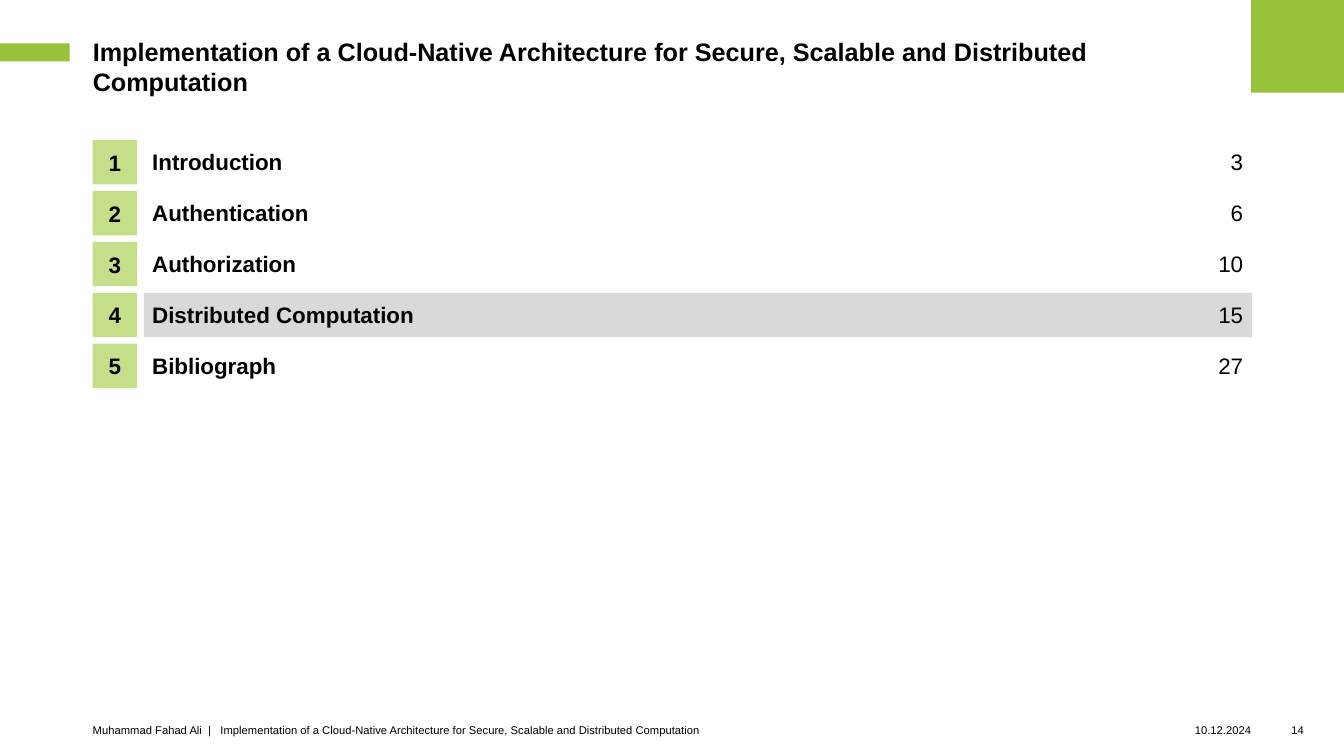
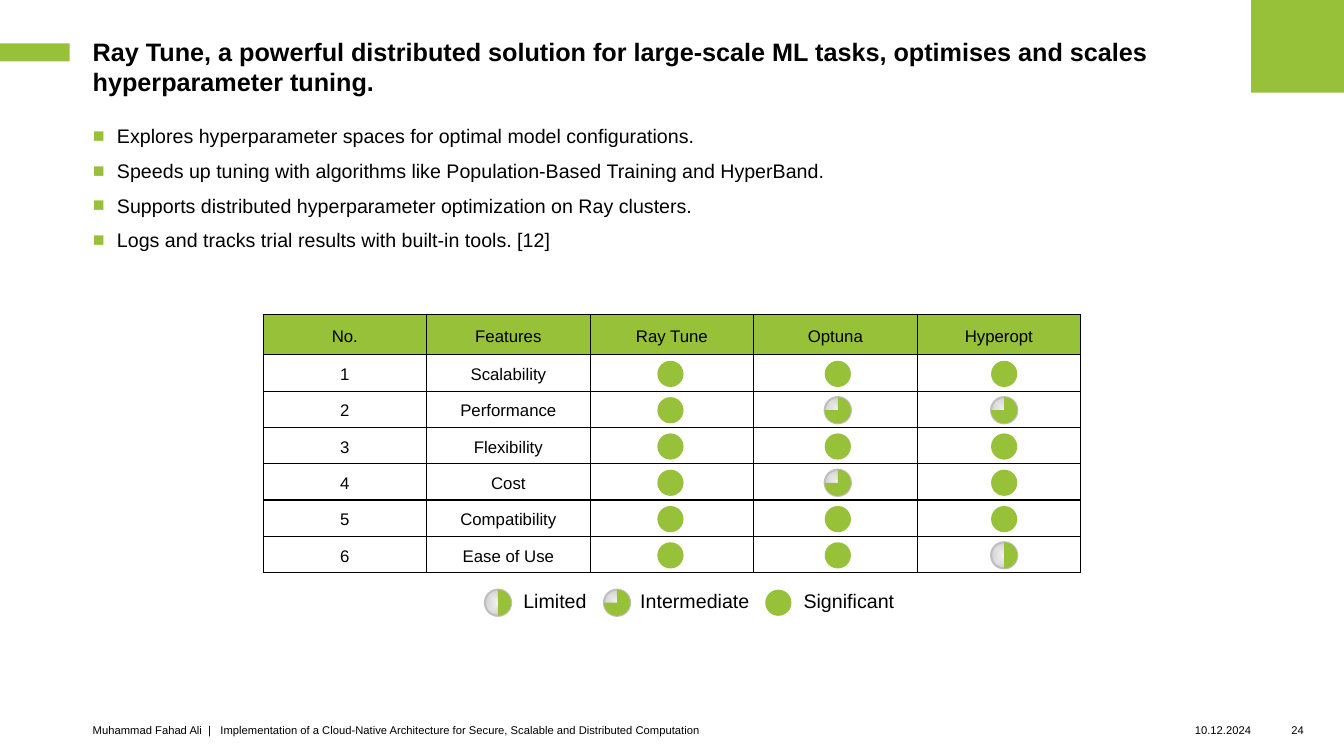
"""Builds an agenda slide and a feature comparison slide."""
import lxml.etree
import pptx
import pptx.dml.color
import pptx.enum.shapes
import pptx.enum.text
import pptx.oxml.ns
import pptx.util

Inches = pptx.util.Inches
Pt = pptx.util.Pt
RGBColor = pptx.dml.color.RGBColor
MSO_SHAPE = pptx.enum.shapes.MSO_SHAPE
PP_ALIGN = pptx.enum.text.PP_ALIGN
qn = pptx.oxml.ns.qn
SubElement = lxml.etree.SubElement

GREEN = RGBColor(0x97, 0xC1, 0x39)
LIGHT_GREEN = RGBColor(0xC5, 0xDE, 0x89)
GREY = RGBColor(0xD9, 0xD9, 0xD9)
DISC_INNER = RGBColor(0xF2, 0xF2, 0xF2)
DISC_OUTER = RGBColor(0xD2, 0xD2, 0xD2)
DISC_LINE = RGBColor(0xBF, 0xBF, 0xBF)
BLACK = RGBColor(0, 0, 0)
WHITE = RGBColor(0xFF, 0xFF, 0xFF)

TALK = "Implementation of a Cloud-Native Architecture for Secure, Scalable and Distributed Computation"
LEFT = 0.92
RIGHT = 12.41


def add_box(s, kind, x, y, w, h, color=None, margins=(0, 0, 0, 0)):
    """Add a text box, or a filled preset shape if a kind is given."""
    box = [Inches(v) for v in (x, y, w, h)]
    if kind is None:
        sp = s.shapes.add_textbox(*box)
    else:
        sp = s.shapes.add_shape(kind, *box)
        sp.shadow.inherit = False
        sp.line.fill.background()
        sp.fill.solid()
        sp.fill.fore_color.rgb = color
    tf = sp.text_frame
    tf.word_wrap = True
    tf.margin_left, tf.margin_top, tf.margin_right, tf.margin_bottom = map(Inches, margins)
    return sp


def write(p, text, size, bold=False, align=PP_ALIGN.LEFT, spacing=1.0, before=0):
    """Format a paragraph and add one run to it."""
    p.alignment = align
    p.line_spacing = spacing
    p.space_before = Pt(before)
    r = p.add_run()
    r.text = text
    r.font.name = "Arial"
    r.font.size = Pt(size)
    r.font.bold = bold
    r.font.color.rgb = BLACK


prs = pptx.Presentation()
prs.slide_width = Inches(13.33)
prs.slide_height = Inches(7.5)

titles = [
    (TALK, 11.29, "14"),
    ("Ray Tune, a powerful distributed solution for large-scale ML tasks, "
     "optimises and scales hyperparameter tuning.", 10.63, "24"),
]
for title, width, number in titles:
    s = prs.slides.add_slide(prs.slide_layouts[6])
    add_box(s, MSO_SHAPE.RECTANGLE, RIGHT, 0, 0.92, 0.92, GREEN)
    add_box(s, MSO_SHAPE.RECTANGLE, 0, 0.43, 0.69, 0.18, GREEN)
    sp = add_box(s, None, LEFT, 0.36, width, 0.55)
    write(sp.text_frame.paragraphs[0], title, 18, bold=True)
    for text, x, w, align in [
        (f"Muhammad Fahad Ali  |   {TALK}", LEFT, 9.74, PP_ALIGN.LEFT),
        ("10.12.2024", 10.65, 1.76, PP_ALIGN.RIGHT),
        (number, RIGHT, 0.92, PP_ALIGN.CENTER),
    ]:
        sp = add_box(s, None, x, 7.18, w, 0.14)
        write(sp.text_frame.paragraphs[0], text, 8, align=align)

agenda, comparison = prs.slides

chapters = [("Introduction", 3), ("Authentication", 6), ("Authorization", 10),
            ("Distributed Computation", 15), ("Bibliograph", 27)]
current = "Distributed Computation"
for i, (chapter, page) in enumerate(chapters):
    y = 1.39 + i * 0.505
    if chapter == current:
        add_box(agenda, MSO_SHAPE.RECTANGLE, 1.43, y, 10.99, 0.44, GREY)
    sp = add_box(agenda, MSO_SHAPE.RECTANGLE, LEFT, y, 0.44, 0.44, LIGHT_GREEN, (0.08,) * 4)
    write(sp.text_frame.paragraphs[0], str(i + 1), 16, bold=True, align=PP_ALIGN.CENTER)
    sp = add_box(agenda, None, 1.43, y, 4, 0.44, margins=(0.08, 0.08, 0, 0.08))
    write(sp.text_frame.paragraphs[0], chapter, 16, bold=True)
    sp = add_box(agenda, None, 11.73, y, 0.6, 0.44, margins=(0, 0.08, 0, 0.08))
    write(sp.text_frame.paragraphs[0], str(page), 16, align=PP_ALIGN.RIGHT)

bullets = [
    "Explores hyperparameter spaces for optimal model configurations.",
    "Speeds up tuning with algorithms like Population-Based Training and HyperBand.",
    "Supports distributed hyperparameter optimization on Ray clusters.",
    "Logs and tracks trial results with built-in tools. [12]",
]
tf = add_box(comparison, None, LEFT, 1.23, 8.98, 1.28).text_frame
for i, bullet in enumerate(bullets):
    p = tf.add_paragraph() if i else tf.paragraphs[0]
    write(p, bullet, 14, align=PP_ALIGN.JUSTIFY, before=8)
    pPr = p._p.get_or_add_pPr()
    pPr.set("marL", str(Inches(0.24)))
    pPr.set("indent", str(-Inches(0.24)))
    SubElement(SubElement(pPr, qn("a:buClr")), qn("a:srgbClr")).set("val", str(GREEN))
    SubElement(pPr, qn("a:buFont")).set("typeface", "Arial")
    SubElement(pPr, qn("a:buChar")).set("char", "■")

header = ["No.", "Features", "Ray Tune", "Optuna", "Hyperopt"]
features = [
    ("Scalability", ["full", "full", "full"]),
    ("Performance", ["full", "three quarters", "three quarters"]),
    ("Flexibility", ["full", "full", "full"]),
    ("Cost", ["full", "three quarters", "full"]),
    ("Compatibility", ["full", "full", "full"]),
    ("Ease of Use", ["full", "full", "half"]),
]
rows = [header] + [[str(i), name, "", "", ""] for i, (name, _) in enumerate(features, 1)]
table = comparison.shapes.add_table(
    len(rows), len(header), Inches(2.61), Inches(3.12), Inches(8.11), Inches(2.56)).table
table.first_row = False
table.horz_banding = False
for column in table.columns:
    column.width = Inches(8.11 / len(header))
for i, texts in enumerate(rows):
    table.rows[i].height = Inches(0.36 if i else 0.4)
    for j, text in enumerate(texts):
        cell = table.cell(i, j)
        cell.margin_left = cell.margin_right = Inches(0.07)
        cell.margin_top = cell.margin_bottom = 0
        cell.vertical_anchor = pptx.enum.text.MSO_ANCHOR.MIDDLE
        tcPr = cell._tc.get_or_add_tcPr()
        for side in ("a:lnL", "a:lnR", "a:lnT", "a:lnB"):
            ln = SubElement(tcPr, qn(side), w=str(Pt(1)))
            SubElement(SubElement(ln, qn("a:solidFill")), qn("a:srgbClr")).set("val", str(BLACK))
        cell.fill.solid()
        cell.fill.fore_color.rgb = WHITE if i else GREEN
        if text:
            write(cell.text_frame.paragraphs[0], text, 12, align=PP_ALIGN.CENTER, spacing=1.2, before=8)

markers = [(level, x, 3.58 + i * 0.36)
           for i, (_, levels) in enumerate(features)
           for level, x in zip(levels, (6.52, 8.18, 9.83))]
legend = [("half", 4.81, "Limited", 5.19, 0.75),
          ("three quarters", 5.99, "Intermediate", 6.35, 1.2),
          ("full", 7.59, "Significant", 7.97, 1.16)]
for level, x, label, label_x, w in legend:
    markers.append((level, x, 5.85))
    sp = add_box(comparison, None, label_x, 5.84, w, 0.26)
    write(sp.text_frame.paragraphs[0], label, 14, before=8)

pie_ends = {"half": 54, "three quarters": 108}
for level, x, y in markers:
    sp = add_box(comparison, MSO_SHAPE.OVAL, x, y, 0.26, 0.26, GREEN)
    if level == "full":
        continue
    sp.line.color.rgb = DISC_LINE
    sp.line.width = Pt(1.5)
    sp.fill.gradient()
    for stop, color in zip(sp.fill.gradient_stops, (DISC_INNER, DISC_OUTER)):
        stop.color.rgb = color
    gradient = sp._element.spPr.find(qn("a:gradFill"))
    gradient.remove(gradient.find(qn("a:lin")))
    shade = SubElement(gradient, qn("a:path"), path="shape")
    SubElement(shade, qn("a:fillToRect"), l="50000", t="50000", r="50000", b="50000")
    pie = add_box(comparison, MSO_SHAPE.PIE, x, y, 0.26, 0.26, GREEN)
    pie.adjustments[0] = 162
    pie.adjustments[1] = pie_ends[level]

prs.save("out.pptx")
